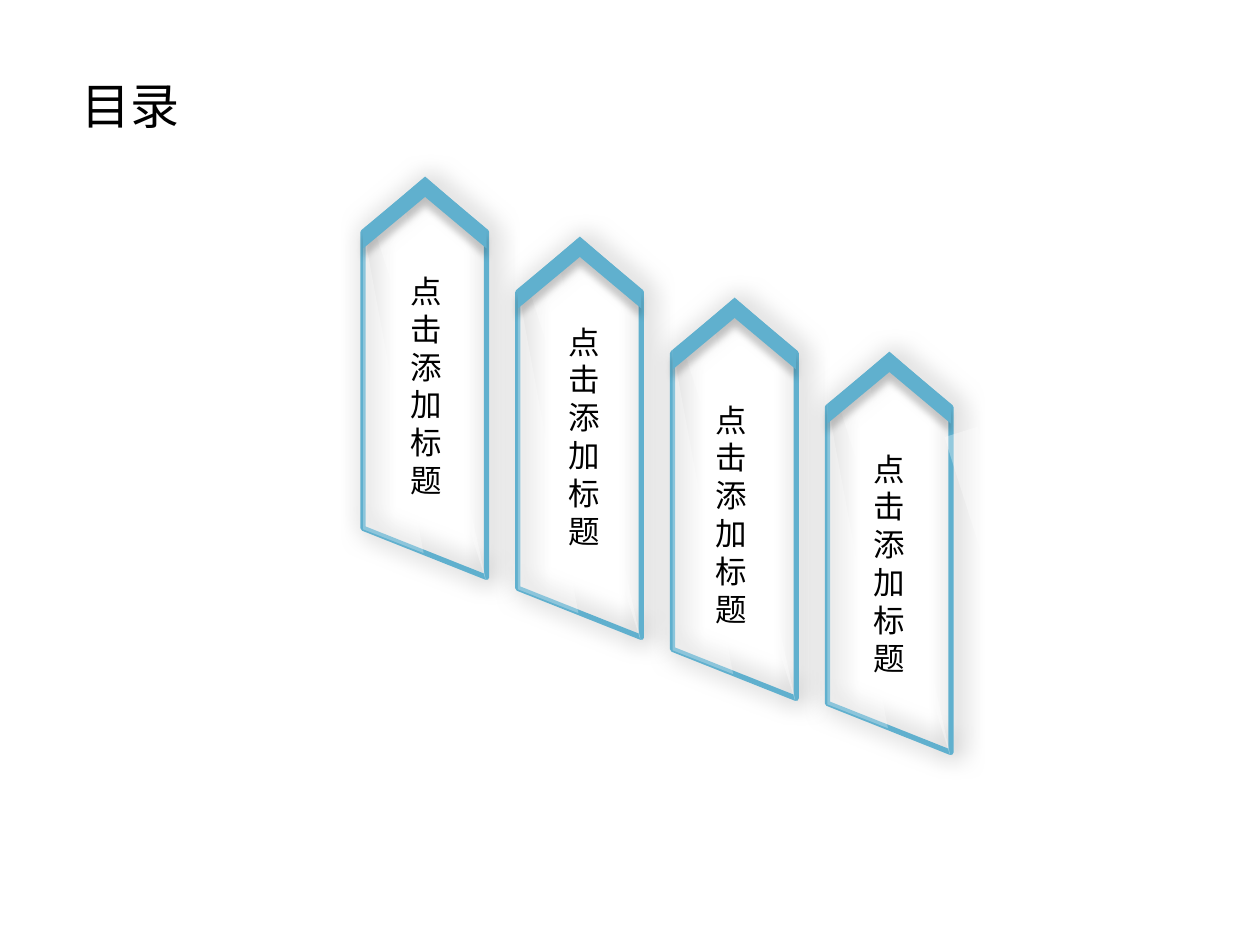
from lxml import etree
from pptx import Presentation
from pptx import util as u
from pptx.dml.color import RGBColor
from pptx.enum import shapes, text
from pptx.oxml import parse_xml
from pptx.oxml.ns import nsdecls, qn

BLUE = RGBColor(0x60, 0xB0, 0xCE)
WHITE = RGBColor(0xFF, 0xFF, 0xFF)
BLACK = RGBColor(0x00, 0x00, 0x00)
FONT = "Noto Sans CJK SC"

OUTLINE = [(1.25, 0.08), (2.49, 1.12), (2.49, 8.08), (0, 7.09), (0, 1.12)]
SHEEN = [(0, 1.04), (1.22, 7.59), (0, 7.11)]
ROOF = [(1.25, 0), (2.49, 1.07), (2.49, 1.45), (1.25, 0.41), (0, 1.45), (0, 1.07)]
FIRST_LEFT = 7.32
COLUMN_STEP = 3.12
COLUMN_TOPS = [3.56, 4.77, 6.0, 7.09]
LABEL_PLACES = [(8.28, 5.36), (11.46, 6.38), (14.43, 7.95), (17.6, 8.94)]

presentation = Presentation()
presentation.slide_width = u.Cm(25.4)
presentation.slide_height = u.Cm(19.05)
slide = presentation.slides.add_slide(presentation.slide_layouts[6])


def style(shape, fill=None, opacity=None, line=None, shadow=None):
    shape.shadow.inherit = False
    if fill is None:
        shape.fill.background()
    else:
        shape.fill.solid()
        shape.fill.fore_color.rgb = fill
    if opacity is not None:
        color = shape._element.spPr.find(".//" + qn("a:srgbClr"))
        etree.SubElement(color, qn("a:alpha")).set("val", str(opacity * 1000))
    if line is None:
        shape.line.fill.background()
    else:
        shape.line.color.rgb = line
        shape.line.width = u.Pt(3)
        shape.line._ln.append(parse_xml(f"<a:round {nsdecls('a')}/>"))
    if shadow is not None:
        alpha, blur, distance, angle = shadow
        effects = shape._element.spPr.find(qn("a:effectLst"))
        effects.append(parse_xml(
            f'<a:outerShdw {nsdecls("a")} blurRad="{u.Pt(blur)}" dist="{u.Pt(distance)}" '
            f'dir="{angle * 60000}" algn="ctr" rotWithShape="0">'
            f'<a:srgbClr val="000000"><a:alpha val="{alpha * 1000}"/></a:srgbClr>'
            f'</a:outerShdw>'))


def draw_outline(points, left, top):
    corners = [(u.Cm(left + x), u.Cm(top + y)) for x, y in points]
    builder = slide.shapes.build_freeform(*corners[0])
    builder.add_line_segments(corners[1:], close=True)
    return builder.convert_to_shape()


glints = []
for index, top in enumerate(COLUMN_TOPS):
    left = FIRST_LEFT + index * COLUMN_STEP
    style(draw_outline(OUTLINE, left, top), line=BLUE, shadow=(49, 15, 3, 0))
    style(draw_outline(SHEEN, left, top), fill=WHITE, opacity=28)
    glint_places = [(left + 1.32, top + 0.66)]
    glints.append(slide.shapes.add_shape(
        shapes.MSO_SHAPE.RIGHT_TRIANGLE, u.Cm(left + 1.32), u.Cm(top + 0.66),
        u.Cm(0.71), u.Cm(7.59)))
    style(draw_outline(ROOF, left, top), fill=BLUE, shadow=(19, 4, 5, 90))

glints.append(slide.shapes.add_shape(
    shapes.MSO_SHAPE.RIGHT_TRIANGLE, u.Cm(20.17), u.Cm(8.53), u.Cm(0.71), u.Cm(7.59)))
for glint in glints:
    style(glint, fill=WHITE, opacity=32)
    glint.rotation = 342.4
    glint._element.spPr.xfrm.set("flipV", "1")

boxes = [("目录", 28, 1.4, 1.4, 2.77, 1.45, 0.25)]
for left, top in reversed(LABEL_PLACES):
    boxes.append(("点击添加标题", 18, left, top, 0.2, 4.88, 0))

for words, size, left, top, width, height, margin in boxes:
    box = slide.shapes.add_textbox(u.Cm(left), u.Cm(top), u.Cm(width), u.Cm(height))
    frame = box.text_frame
    frame.word_wrap = True
    frame.auto_size = text.MSO_AUTO_SIZE.NONE
    frame.margin_left = frame.margin_right = u.Cm(margin)
    paragraph = frame.paragraphs[0]
    paragraph.line_spacing = u.Pt(size * 1.2)
    run = paragraph.add_run()
    run.text = words
    run.font.size = u.Pt(size)
    run.font.name = FONT
    run.font.color.rgb = BLACK
    etree.SubElement(run._r.get_or_add_rPr(), qn("a:ea")).set("typeface", FONT)

presentation.save("out.pptx")
